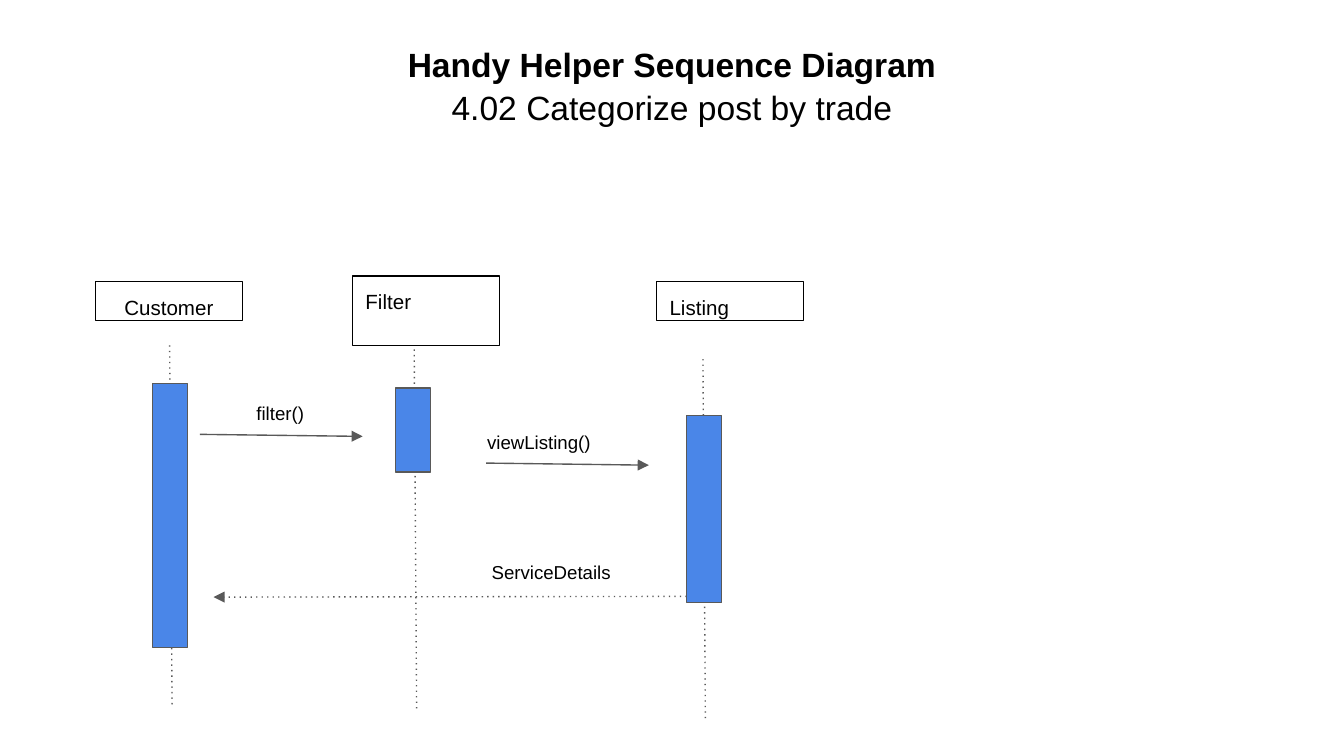
import pptx
import pptx.util
import pptx.dml.color
import pptx.enum.shapes
import pptx.enum.text
import pptx.oxml.ns
import lxml.etree

Pt = pptx.util.Pt
ALIGN = pptx.enum.text.PP_ALIGN
ANCHOR = pptx.enum.text.MSO_ANCHOR
RECTANGLE = pptx.enum.shapes.MSO_SHAPE.RECTANGLE
STRAIGHT = pptx.enum.shapes.MSO_CONNECTOR.STRAIGHT
qn = pptx.oxml.ns.qn


def color(value):
    return pptx.dml.color.RGBColor.from_string(value)


def write(shape, lines, size, align, anchor=ANCHOR.TOP):
    frame = shape.text_frame
    frame.word_wrap = True
    frame.auto_size = pptx.enum.text.MSO_AUTO_SIZE.NONE
    frame.vertical_anchor = anchor
    frame.margin_left = frame.margin_right = Pt(7.2)
    frame.margin_top = frame.margin_bottom = Pt(7.2)
    frame.text = "\n".join(lines)
    for paragraph in frame.paragraphs:
        paragraph.alignment = align
        paragraph.space_before = Pt(0)
        paragraph.font.name = "Arial"
        paragraph.font.size = Pt(size)
        paragraph.font.color.rgb = color("000000")


presentation = pptx.Presentation()
presentation.slide_width, presentation.slide_height = Pt(720), Pt(405)
slide = presentation.slides.add_slide(presentation.slide_layouts[5])

# Title
title = slide.shapes.title
title.left, title.top, title.width, title.height = Pt(24.5), Pt(15.4), Pt(671), Pt(45.4)
write(title, ["Handy Helper Sequence Diagram", "4.02 Categorize post by trade"], 18, ALIGN.CENTER)
for paragraph, bold in zip(title.text_frame.paragraphs, (True, False)):
    paragraph.font.bold = bold
    paragraph.line_spacing = 1.05
title.text_frame.paragraphs[1].space_after = Pt(12)

# Participants: name, left, top, height, alignment
participants = [
    ("Customer", 51, 150.7, 21, ALIGN.CENTER),
    ("Filter", 188.7, 147.8, 37.3, ALIGN.LEFT),
    ("Listing", 351.6, 150.7, 21, ALIGN.LEFT),
]
for name, left, top, height, align in participants:
    box = slide.shapes.add_shape(RECTANGLE, Pt(left), Pt(top), Pt(79), Pt(height))
    box.shadow.inherit = False
    box.fill.background()
    box.line.color.rgb = color("000000")
    box.line.width = Pt(0.75)
    write(box, [name], 11, align)

# Lifelines and messages: start x, start y, end x, end y, dotted, arrowhead
lines = [(x, y, x + 1.3, y + 193, True, False)
         for x, y in ((90.9, 185), (221.9, 187.2), (376.6, 192.4))]
lines += [
    (107.1, 232.7, 194.3, 233.8, False, True),
    (260.4, 248.1, 347.6, 249.2, False, True),
    (367.9, 319.5, 114.4, 319.9, True, True),
]
for start_x, start_y, end_x, end_y, dotted, arrow in lines:
    connector = slide.shapes.add_connector(STRAIGHT, Pt(start_x), Pt(start_y), Pt(end_x), Pt(end_y))
    connector.line.color.rgb = color("595959")
    connector.line.width = Pt(0.75)
    properties = connector._element.spPr
    outline = properties.find(qn("a:ln"))
    if dotted:
        lxml.etree.SubElement(outline, qn("a:prstDash"), val="dot")
    if arrow:
        lxml.etree.SubElement(outline, qn("a:tailEnd"), type="triangle", w="med", len="med")
    lxml.etree.SubElement(properties, qn("a:effectLst"))

# Activation bars: left, top, height
for left, top, height in ((81.8, 205.4, 141.5), (211.8, 207.9, 45), (367.9, 222.6, 100.2)):
    bar = slide.shapes.add_shape(RECTANGLE, Pt(left), Pt(top), Pt(18.8), Pt(height))
    bar.shadow.inherit = False
    bar.fill.solid()
    bar.fill.fore_color.rgb = color("4A86E8")
    bar.line.color.rgb = color("595959")
    bar.line.width = Pt(0.75)

# Message labels: text, left, top, width, height, alignment, anchor
labels = [
    ("filter()", 100.6, 213.4, 99, 16, ALIGN.CENTER, ANCHOR.MIDDLE),
    ("viewListing()", 253.9, 228.8, 99, 16, ALIGN.LEFT, ANCHOR.MIDDLE),
    ("ServiceDetails", 242.8, 293.2, 105, 24.5, ALIGN.CENTER, ANCHOR.TOP),
]
for text, left, top, width, height, align, anchor in labels:
    label = slide.shapes.add_textbox(Pt(left), Pt(top), Pt(width), Pt(height))
    write(label, [text], 10, align, anchor)

presentation.save("out.pptx")
